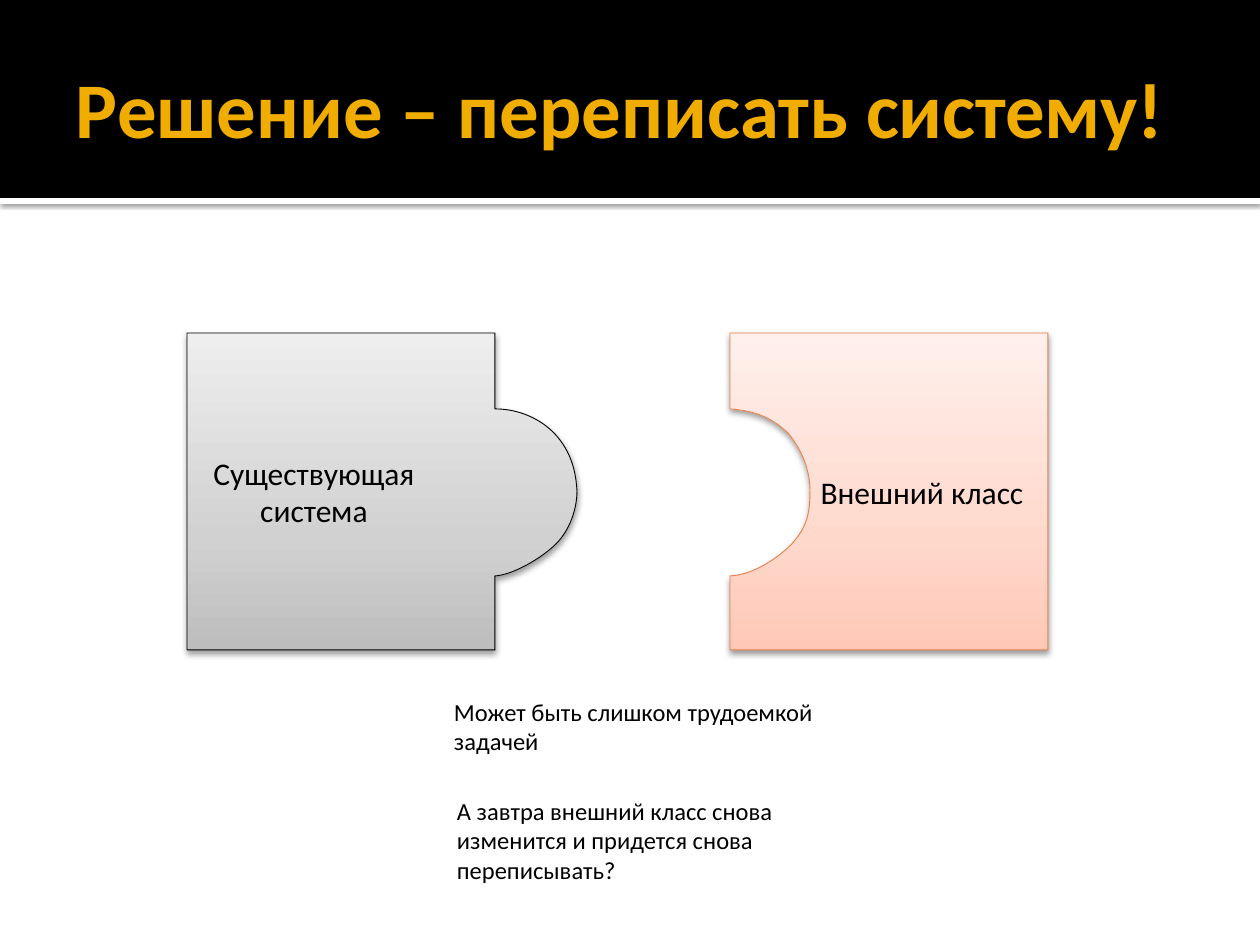
from copy import deepcopy

from lxml import etree
from pptx import Presentation
from pptx.dml.color import RGBColor
from pptx.enum.shapes import MSO_SHAPE
from pptx.enum.text import MSO_ANCHOR, MSO_AUTO_SIZE, PP_ALIGN
from pptx.oxml.ns import qn
from pptx.util import Emu, Pt

RECTANGLE = MSO_SHAPE.RECTANGLE
LEFT, CENTER = PP_ALIGN.LEFT, PP_ALIGN.CENTER
TOP, MIDDLE = MSO_ANCHOR.TOP, MSO_ANCHOR.MIDDLE
NO_FIT, GROW = MSO_AUTO_SIZE.NONE, MSO_AUTO_SIZE.SHAPE_TO_FIT_TEXT

COLORS = {"black": "000000", "white": "FFFFFF", "title": "F0AD00", "peach_line": "E7824C"}
GRAYS = ["BDBDBD", "D1D1D1", "EEEEEE"]
PEACHES = ["FFC8B7", "FFD8CC", "FFF0EC"]
STOP_POSITIONS = [0, 0.35, 1]


def px(value):
    return Emu(round(value * 914400 / 126))


def rgb(value):
    return RGBColor.from_string(value)


def write(frame, text, size=14, color="black", bold=False, align=LEFT,
          anchor=TOP, insets=(13, 6, 13, 6), fit=NO_FIT):
    frame.word_wrap = True
    frame.auto_size = fit
    frame.vertical_anchor = anchor
    (frame.margin_left, frame.margin_top,
     frame.margin_right, frame.margin_bottom) = map(px, insets)
    para = frame.paragraphs[0]
    para.alignment = align
    span = para.add_run()
    span.text = text
    span.font.name = "Calibri"
    span.font.size = Pt(size)
    span.font.bold = bold
    span.font.color.rgb = rgb(COLORS[color])


class SlideBuilder:
    def __init__(self, deck):
        self.page = deck.slides.add_slide(deck.slide_layouts[5])

    def shadow(self, shape, alpha, blur, distance):
        shape.shadow.inherit = False
        effects = shape._element.spPr.find(qn("a:effectLst"))
        outer = etree.SubElement(
            effects, qn("a:outerShdw"), blurRad=str(Pt(blur)), dist=str(Pt(distance)),
            dir="5400000", rotWithShape="0")
        color = etree.SubElement(outer, qn("a:srgbClr"), val=COLORS["black"])
        etree.SubElement(color, qn("a:alpha"), val=str(alpha * 1000))

    def band(self, top, height, color):
        shape = self.page.shapes.add_shape(RECTANGLE, 0, px(top), px(1260), px(height))
        shape.shadow.inherit = False
        shape.fill.solid()
        shape.fill.fore_color.rgb = rgb(COLORS[color])
        shape.line.fill.background()
        return shape

    def title(self, text, left, top, width, height):
        title = self.page.shapes.title
        title.left, title.top, title.width, title.height = map(px, (left, top, width, height))
        write(title.text_frame, text, size=45, color="title", bold=True,
              anchor=MIDDLE, insets=(13, 6, 6, 6))
        self.page.shapes._spTree.append(title._element)

    def gradient(self, shape, colors):
        shape.fill.gradient()
        shape.fill.gradient_angle = 90
        stop_list = shape._element.spPr.find(qn("a:gradFill")).find(qn("a:gsLst"))
        stop_list.insert(1, deepcopy(stop_list[0]))
        for stop, position, color in zip(shape.fill.gradient_stops, STOP_POSITIONS, colors):
            stop.position = position
            stop.color.rgb = rgb(color)

    def outline(self, start, segments):
        builder = self.page.shapes.build_freeform(px(start[0]), px(start[1]))
        builder.add_line_segments([tuple(map(px, segment[-1])) for segment in segments])
        shape = builder.convert_to_shape()
        lines = list(shape._element.spPr.iter(qn("a:lnTo")))
        for line, segment in zip(lines, segments):
            if len(segment) == 3:
                curve = etree.Element(qn("a:cubicBezTo"))
                for x, y in segment:
                    etree.SubElement(curve, qn("a:pt"), x=str(px(x) - shape.left),
                                     y=str(px(y) - shape.top))
                line.getparent().replace(line, curve)
        return shape

    def puzzle_piece(self, text, start, segments, colors, line, insets):
        piece = self.outline(start, [*segments, (start,)])
        self.gradient(piece, colors)
        piece.line.color.rgb = rgb(COLORS[line])
        piece.line.width = Pt(0.5)
        self.shadow(piece, 38, 3.5, 2)
        write(piece.text_frame, text, size=18, align=CENTER, anchor=MIDDLE, insets=insets)

    def note(self, text, left, top, width, height):
        box = self.page.shapes.add_textbox(px(left), px(top), px(width), px(height))
        write(box.text_frame, text, fit=GROW)


def main():
    deck = Presentation()
    deck.slide_width, deck.slide_height = px(1260), px(945)
    slide = SlideBuilder(deck)

    divider = slide.band(198, 6, "white")
    slide.shadow(divider, 60, 2.5, 0.8)
    slide.band(0, 198, "black")
    slide.title("Решение – переписать систему!", 63, 21, 1134, 173)

    top, bottom = 333, 650
    notch = [
        ((753, 575), (776, 559), (790, 546)),
        ((803, 532), (810, 520), (810, 494)),
        ((811, 469), (800, 447), (788, 433)),
        ((774, 420), (759, 411), (730, 409)),
    ]
    knob = [
        ((515, 409), (537, 416), (554, 433)),
        ((572, 452), (576, 473), (577, 491)),
        ((577, 509), (570, 530), (556, 544)),
        ((542, 558), (513, 575), (495, 576)),
    ]
    slide.puzzle_piece(
        "Внешний класс", (730, top),
        [((1048, top),), ((1048, bottom),), ((730, bottom),), ((730, 576),), *notch],
        PEACHES, "peach_line", (79, 6, 13, 6))
    slide.puzzle_piece(
        "Существующая система", (187, top),
        [((495, top),), ((495, 409),), *knob, ((495, bottom),), ((187, bottom),)],
        GRAYS, "black", (13, 6, 149, 6))

    slide.note("Может быть слишком трудоемкой задачей", 441, 691, 400, 72)
    slide.note("А завтра внешний класс снова изменится и придется снова переписывать?",
               444, 790, 400, 102)
    deck.save("out.pptx")


if __name__ == "__main__":
    main()
